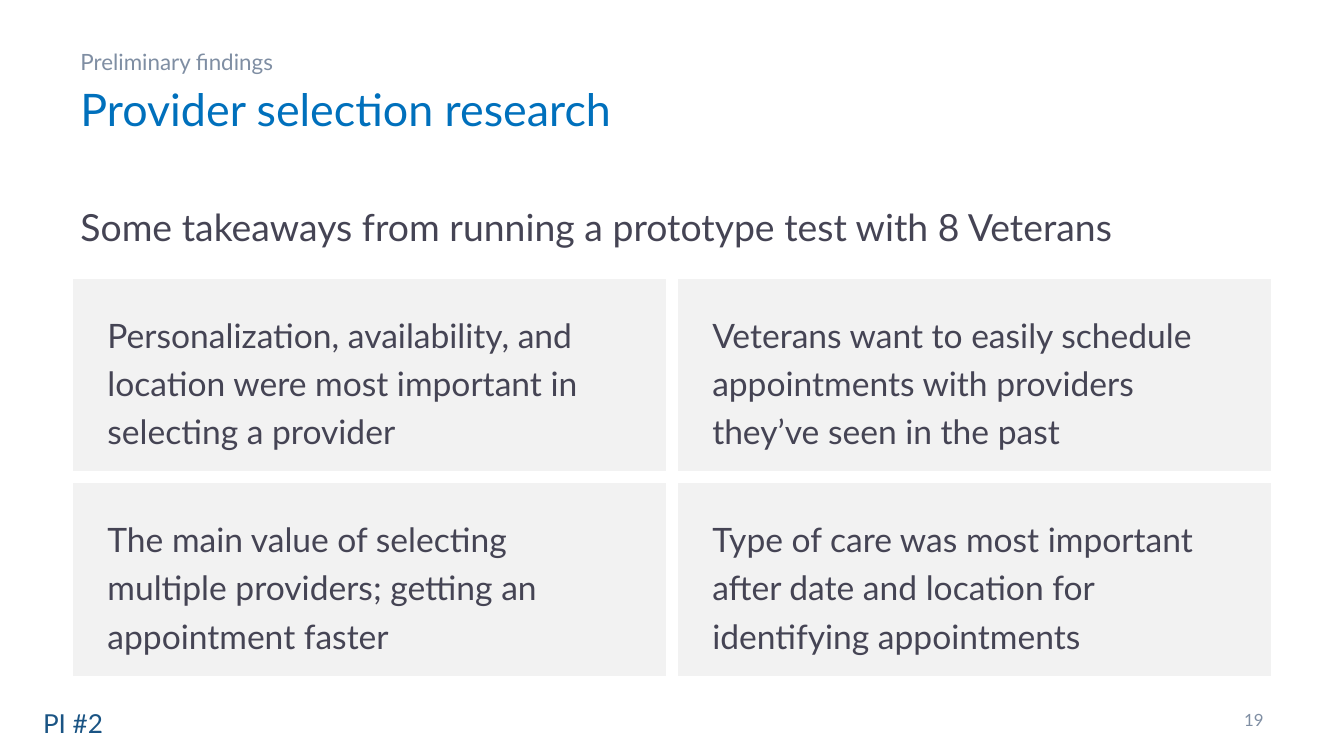
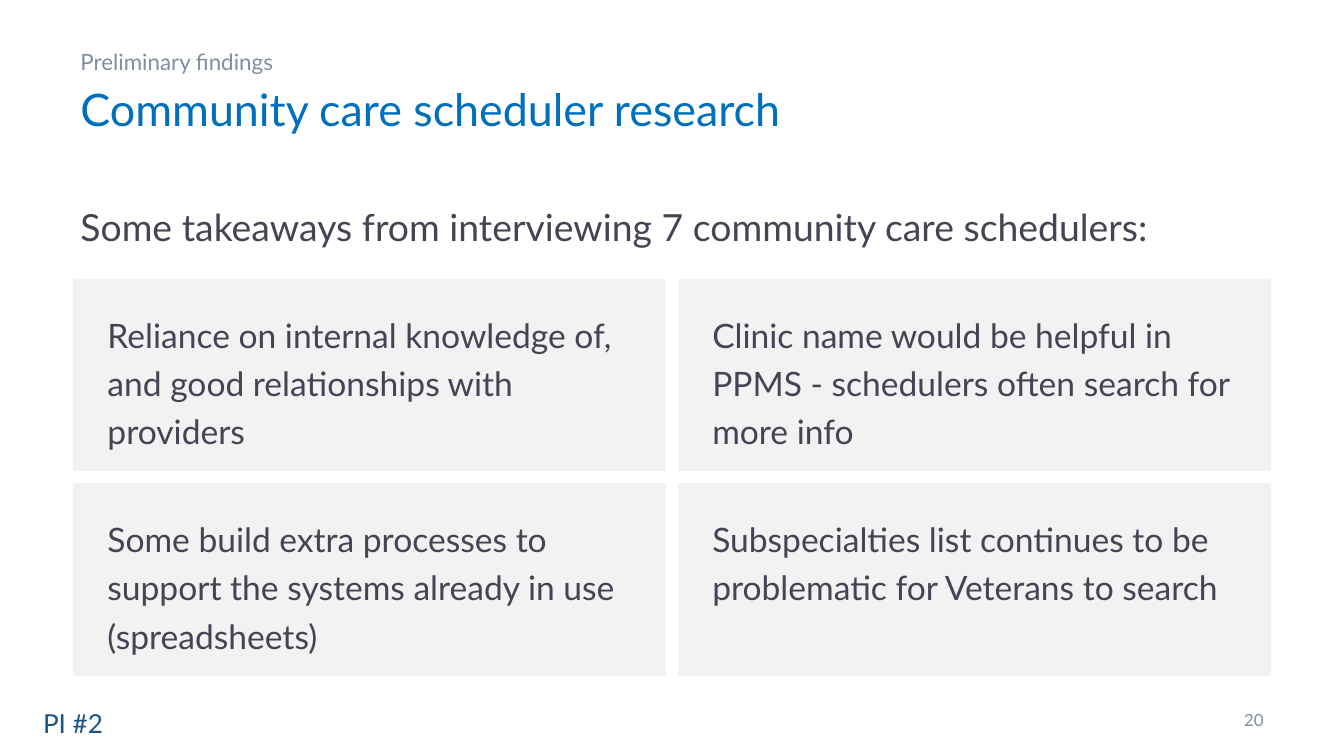
from pptx import Presentation
from pptx.dml.color import RGBColor
from pptx.enum.shapes import MSO_SHAPE
from pptx.enum.text import MSO_ANCHOR, PP_ALIGN
from pptx.util import Pt

RECTANGLE = MSO_SHAPE.RECTANGLE
TOP, MIDDLE = MSO_ANCHOR.TOP, MSO_ANCHOR.MIDDLE
LEFT, RIGHT = PP_ALIGN.LEFT, PP_ALIGN.RIGHT

FONT = "Lato"
COLORS = {
    "title": "0070BC",
    "body": "454454",
    "muted": "7F8EA3",
    "footer": "1A5484",
    "card": "F2F2F2",
    "white": "FFFFFF",
}

PLAIN = {"alignment": LEFT}
SPACED = {"alignment": LEFT, "line_spacing": 1.2, "space_after": Pt(6)}
FLUSH_RIGHT = {"alignment": RIGHT}

STYLES = {
    "kicker": {"size": 12, "color": "muted", "inset": (7.2, 3.6), "anchor": TOP, "para": SPACED},
    "title": {"size": 24, "color": "title", "inset": (7.2, 3.6), "anchor": TOP, "para": PLAIN},
    "lead": {"size": 20, "color": "body", "inset": (7.2, 3.6), "anchor": TOP, "para": SPACED},
    "card": {"size": 18, "color": "body", "inset": (21.6, 18), "anchor": TOP, "para": SPACED},
    "footer": {"size": 14, "color": "footer", "inset": (7.2, 7.2), "anchor": TOP, "para": PLAIN},
    "number": {"size": 9, "color": "muted", "inset": (7.2, 3.6), "anchor": MIDDLE, "para": FLUSH_RIGHT},
}

PLACES = {
    "kicker": (36, 19.4, 594, 21),
    "title": (36, 40.4, 594, 49.6),
    "lead": (36, 101, 594, 35),
    "footer": (16, 371.6, 236, 21.6),
    "number": (630, 375, 54, 21.6),
}

CARD_LEFT, CARD_TOP = 36, 146.2
CARD_WIDTH, CARD_HEIGHT = 324, 109.4
CARD_COLUMNS = 2

SLIDES = [
    {
        "texts": {
            "kicker": "Preliminary findings",
            "title": "Provider selection research",
            "lead": "Some takeaways from running a prototype test with 8 Veterans",
            "footer": "PI #2",
            "number": "19",
        },
        "cards": [
            "Personalization, availability, and location were most important in selecting a provider",
            "Veterans want to easily schedule appointments with providers they’ve seen in the past",
            "The main value of selecting multiple providers; getting an appointment faster",
            "Type of care was most important after date and location for identifying appointments",
        ],
    },
    {
        "texts": {
            "kicker": "Preliminary findings",
            "title": "Community care scheduler research",
            "lead": "Some takeaways from interviewing 7 community care schedulers:",
            "footer": "PI #2",
            "number": "20",
        },
        "cards": [
            "Reliance on internal knowledge of, and good relationships with providers",
            "Clinic name would be helpful in PPMS - schedulers often search for more info",
            "Some build extra processes to support the systems already in use (spreadsheets)",
            "Subspecialties list continues to be problematic for Veterans to search",
        ],
    },
]


def color(name):
    return RGBColor.from_string(COLORS[name])


def write(box, text, style):
    frame = box.text_frame
    across, down = style["inset"]
    frame_format = {
        "word_wrap": True,
        "vertical_anchor": style["anchor"],
        "margin_left": Pt(across),
        "margin_right": Pt(across),
        "margin_top": Pt(down),
        "margin_bottom": Pt(down),
    }
    for name, value in frame_format.items():
        setattr(frame, name, value)
    para = frame.paragraphs[0]
    for name, value in style["para"].items():
        setattr(para, name, value)
    span = para.add_run()
    span.text = text
    span.font.name = FONT
    span.font.size = Pt(style["size"])
    span.font.color.rgb = color(style["color"])


deck = Presentation()
deck.slide_width, deck.slide_height = Pt(720), Pt(405)
blank = deck.slide_layouts[6]

for content in SLIDES:
    page = deck.slides.add_slide(blank)
    page.background.fill.solid()
    page.background.fill.fore_color.rgb = color("white")

    for index, text in enumerate(content["cards"]):
        row, column = divmod(index, CARD_COLUMNS)
        card = page.shapes.add_shape(
            RECTANGLE,
            Pt(CARD_LEFT + column * CARD_WIDTH),
            Pt(CARD_TOP + row * CARD_HEIGHT),
            Pt(CARD_WIDTH),
            Pt(CARD_HEIGHT),
        )
        card.shadow.inherit = False
        card.fill.solid()
        card.fill.fore_color.rgb = color("card")
        card.line.color.rgb = color("white")
        card.line.width = Pt(6)
        write(card, text, STYLES["card"])

    for role, text in content["texts"].items():
        box = page.shapes.add_textbox(*map(Pt, PLACES[role]))
        write(box, text, STYLES[role])

deck.save("out.pptx")
